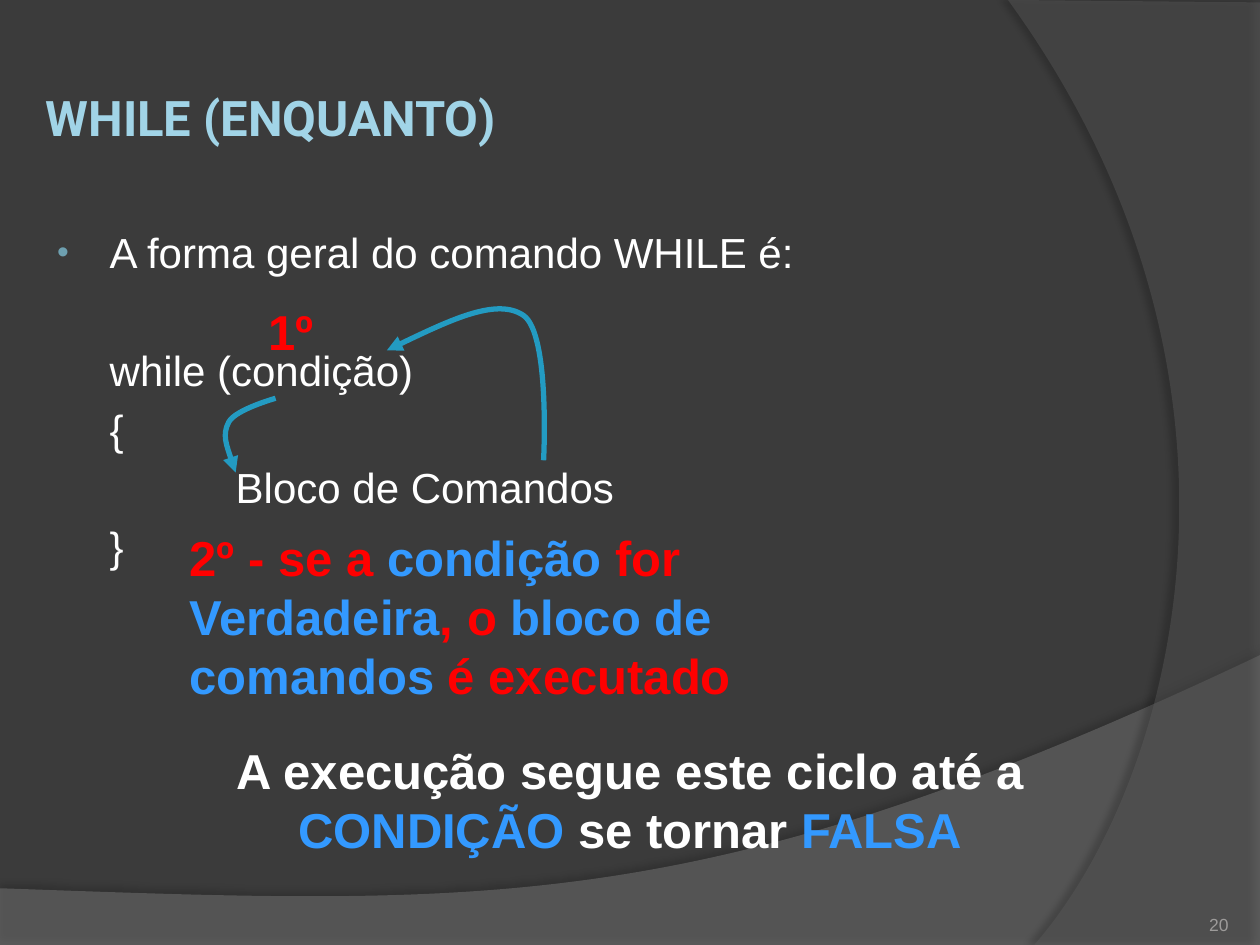
from lxml import etree
from pptx import Presentation
from pptx.dml.color import RGBColor
from pptx.enum.text import MSO_ANCHOR, MSO_AUTO_SIZE, PP_ALIGN
from pptx.oxml.ns import qn
from pptx.util import Pt

LEFT, CENTER, RIGHT = PP_ALIGN.LEFT, PP_ALIGN.CENTER, PP_ALIGN.RIGHT
TOP, MIDDLE, BOTTOM = MSO_ANCHOR.TOP, MSO_ANCHOR.MIDDLE, MSO_ANCHOR.BOTTOM

WHITE, RED, BLUE = "FFFFFF", "FF0000", "3399FF"
BACKGROUND, TITLE_COLOR, BULLET_COLOR = "3B3B3B", "A1D4E7", "6EA0B0"
ARROW_COLOR, NUMBER_COLOR = "239BC2", "9D9B9A"

TITLE = "WHILE (ENQUANTO)"
# text, left margin, space before, bulleted
BODY = [
    ("A forma geral do comando WHILE é:", 33, 0, True),
    ("while (condição)", 33, 38.5, False),
    ("{", 33, 4.7, False),
    ("Bloco de Comandos", 105, 4.7, False),
    ("}", 33, 4.7, False),
]
# box, alignment, coloured runs
NOTES = [
    ((146.3, 168.5, 44.6, 41), LEFT, [("1º", RED)]),
    ((101.3, 298, 371.5, 108.7), LEFT, [
        ("2º - se a ", RED), ("condição", BLUE), (" for ", RED),
        ("Verdadeira", BLUE), (", o", RED), (" bloco de comandos ", BLUE),
        ("é executado", RED)]),
    ((124, 419.5, 472, 75), CENTER, [
        ("A execução segue este ciclo até a ", WHITE), ("CONDIÇÃO", BLUE),
        (" se tornar ", WHITE), ("FALSA", BLUE)]),
]
# A path lies inside its box: a start, then line ends (1 point)
# or Bézier curves (3 points)
SWOOSHES = [
    dict(box=(0, 374.4, 720, 165.6),
         path=[(0, 133.2), [(0, 165.6)], [(720, 165.6)], [(720, 0)],
               [(402.5, 150.6), (281.5, 143.1), (0, 133.2)]],
         color="7F7F7F", alpha=45, shadow=(35, 4, 3.5, 270)),
    dict(box=(576, 0, 144, 540),
         path=[(144, 1.4), [(144, 540)], [(15, 540)],
               [(97, 445.7), (157, 216), (0, 0)]],
         color="5E5E5E", alpha=40, shadow=(45, 4, 4, 180)),
]
ARROWS = [
    dict(box=(114.5, 236.2, 48.2, 17.3), rotation=297.9,
         path=[(0, 17), [(7.9, 8.6), (15.4, 0), (23.7, 0)],
               [(31.8, 0), (48.2, 17.3), (48.2, 17.3)]]),
    dict(box=(228.2, 175.7, 109.4, 61.9), rotation=34.3,
         path=[(0, 60.5), [(17.6, 30), (35, 0), (53.2, 0)],
               [(71.8, 0), (109.4, 61.9), (109.4, 61.9)]]),
]


def rgb(color):
    return RGBColor.from_string(color)


def add_element(parent, tag, **attrs):
    return etree.SubElement(parent, qn(tag), {k: str(v) for k, v in attrs.items()})


def add_alpha(color_element, percent):
    add_element(color_element, "a:alpha", val=percent * 1000)


def set_box(sp, box):
    sp.left, sp.top, sp.width, sp.height = map(Pt, box)


def write(p, text, size=28, color=WHITE, bold=False, font="Arial"):
    r = p.add_run()
    r.text = text
    r.font.size, r.font.bold, r.font.name = Pt(size), bold, font
    r.font.color.rgb = rgb(color)


def place(sp, box, anchor=TOP, insets=(7.2, 3.6)):
    """Set a text shape's box and frame; return its text frame."""
    set_box(sp, box)
    tf = sp.text_frame
    tf.word_wrap, tf.auto_size = True, MSO_AUTO_SIZE.NONE
    tf.vertical_anchor = anchor
    tf.margin_left = tf.margin_right = Pt(insets[0])
    tf.margin_top = tf.margin_bottom = Pt(insets[1])
    return tf


def add_text(slide, box, runs, align=LEFT, anchor=TOP, insets=(7.2, 3.6), **fmt):
    tf = place(slide.shapes.add_textbox(0, 0, 0, 0), box, anchor, insets)
    p = tf.paragraphs[0]
    p.alignment = align
    for text, color in runs:
        write(p, text, color=color, **fmt)


def add_path(slide, box, path, close):
    """Build a freeform, then join the points of each curve into one Bézier."""
    start, *segments = path
    points = [point for segment in segments for point in segment]
    to_units = [(round(x * 100), round(y * 100)) for x, y in [start, *points]]
    builder = slide.shapes.build_freeform(*to_units[0], scale=Pt(1) / 100)
    builder.add_line_segments(to_units[1:], close=close)
    sp = builder.convert_to_shape()
    sp.shadow.inherit = False

    outline = next(sp.element.iter(qn("a:path")))
    lines = iter(outline.findall(qn("a:lnTo")))
    for segment in segments:
        first, *others = [next(lines) for _ in segment]
        if others:
            curve = etree.Element(qn("a:cubicBezTo"))
            first.addprevious(curve)
            for line in (first, *others):
                curve.append(line[0])
                outline.remove(line)
    outline.set("w", str(round(box[2] * 100)))
    outline.set("h", str(round(box[3] * 100)))
    set_box(sp, box)
    return sp


def add_swoosh(slide, box, path, color, alpha, shadow):
    sp = add_path(slide, box, path, True)
    sp.line.fill.background()
    sp.fill.solid()
    sp.fill.fore_color.rgb = rgb(color)
    spPr = sp.element.spPr
    add_alpha(spPr.find(qn("a:solidFill"))[0], alpha)
    opacity, blur, dist, angle = shadow
    outer = add_element(spPr.find(qn("a:effectLst")), "a:outerShdw",
                        blurRad=Pt(blur), dist=Pt(dist), dir=angle * 60000,
                        algn="ctr", rotWithShape=0)
    add_alpha(add_element(outer, "a:srgbClr", val="000000"), opacity)
    return sp


def add_arrow(slide, box, path, rotation):
    sp = add_path(slide, box, path, False)
    sp.rotation = rotation
    sp.fill.background()
    sp.line.color.rgb = rgb(ARROW_COLOR)
    sp.line.width = Pt(3)
    add_element(sp.element.spPr.find(qn("a:ln")), "a:headEnd", type="triangle")


def add_body(tf):
    for i, (text, margin, before, bulleted) in enumerate(BODY):
        p = tf.paragraphs[0] if i == 0 else tf.add_paragraph()
        pPr = p._p.get_or_add_pPr()
        pPr.set("marL", str(Pt(margin)))
        pPr.set("indent", str(Pt(-30 if bulleted else 0)))
        p.space_before = Pt(before)
        if bulleted:
            add_element(add_element(pPr, "a:buClr"), "a:srgbClr", val=BULLET_COLOR)
            add_element(pPr, "a:buSzPct", val=80000)
            add_element(pPr, "a:buFont", typeface="Arial")
            add_element(pPr, "a:buChar", char="•")
        else:
            add_element(pPr, "a:buNone")
        write(p, text, size=24)


def main():
    prs = Presentation()
    prs.slide_width, prs.slide_height = Pt(720), Pt(540)
    slide = prs.slides.add_slide(prs.slide_layouts[1])
    slide.background.fill.solid()
    slide.background.fill.fore_color.rgb = rgb(BACKGROUND)

    # The swooshes go behind the placeholders
    for i, swoosh in enumerate(SWOOSHES):
        sp = add_swoosh(slide, **swoosh)
        slide.shapes._spTree.insert(2 + i, sp.element)

    title, body = slide.placeholders
    p = place(title, (22.5, 22, 675, 90), MIDDLE, (3.6, 3.6)).paragraphs[0]
    p.alignment = LEFT
    write(p, TITLE, color=TITLE_COLOR, bold=True, font="Roboto")
    add_body(place(body, (22.5, 126, 675, 356.5)))

    for arrow in ARROWS:
        add_arrow(slide, **arrow)
    for box, align, runs in NOTES:
        add_text(slide, box, runs, align, bold=True)
    add_text(slide, (642, 505.5, 60, 28.8), [("20", NUMBER_COLOR)], RIGHT, BOTTOM,
             (0, 0), size=10)
    prs.save("out.pptx")


if __name__ == "__main__":
    main()
